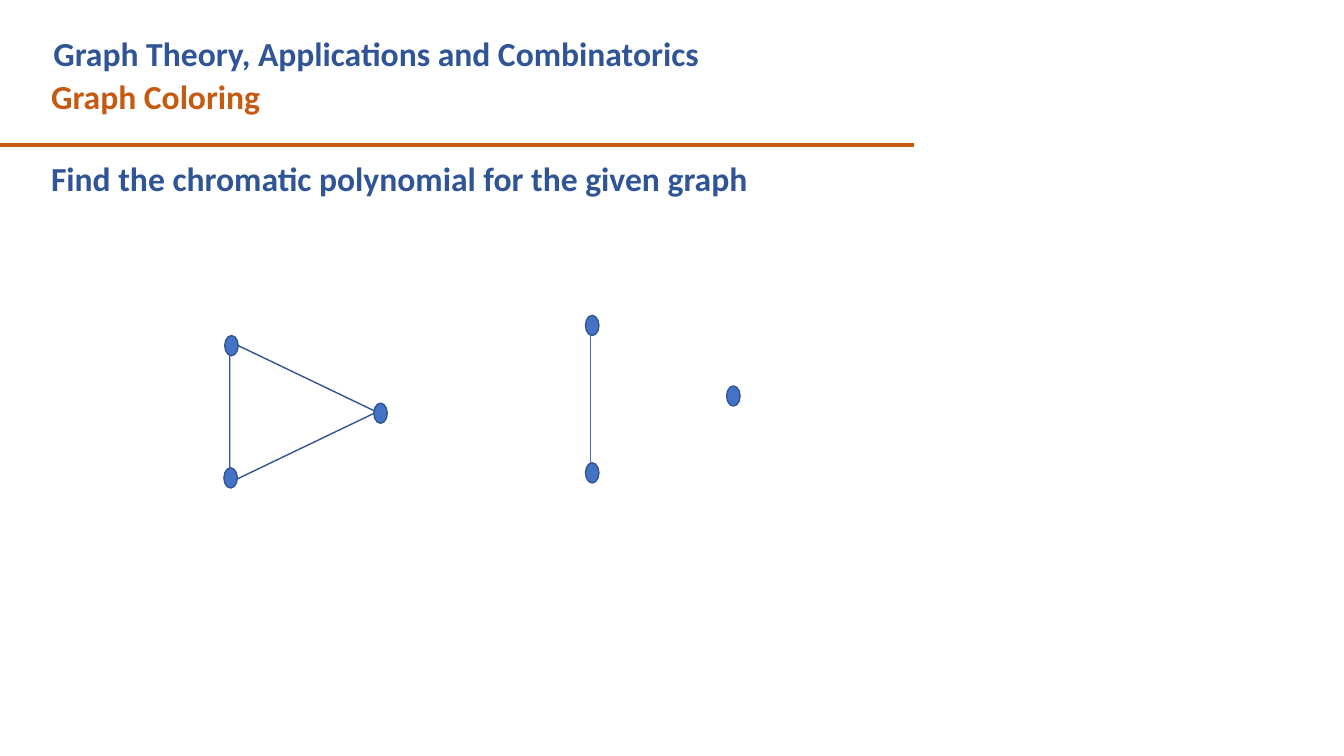
from dataclasses import dataclass

from lxml.etree import SubElement
from pptx import Presentation
from pptx.dml.color import RGBColor
from pptx.enum.shapes import MSO_CONNECTOR, MSO_SHAPE
from pptx.enum.text import MSO_ANCHOR, MSO_AUTO_SIZE, PP_ALIGN
from pptx.oxml.ns import qn
from pptx.util import Inches, Pt


@dataclass(frozen=True)
class Theme:
    font: str = "Calibri"
    size: float = 24
    heading: str = "2F5597"
    accent: str = "C55A11"
    node: str = "4472C4"
    outline: str = "325491"


def write(box, text, *, font, size, color, bold=True, align=PP_ALIGN.LEFT):
    frame = box.text_frame
    frame.word_wrap = True
    frame.auto_size = MSO_AUTO_SIZE.SHAPE_TO_FIT_TEXT
    frame.vertical_anchor = MSO_ANCHOR.TOP
    para = frame.paragraphs[0]
    para.alignment = align
    span = para.add_run()
    span.text = text
    span.font.name = font
    span.font.size = Pt(size)
    span.font.bold = bold
    span.font.color.rgb = RGBColor.from_string(color)


class Page:
    COLUMNS, ROWS = 32, 18

    def __init__(self, deck, theme):
        self.theme = theme
        self.slide = deck.slides.add_slide(deck.slide_layouts[5])
        self.column = deck.slide_width / self.COLUMNS
        self.row = deck.slide_height / self.ROWS

    def place(self, left, top, width, height):
        return (round(left * self.column), round(top * self.row),
                round(width * self.column), round(height * self.row))

    def style(self, text_color, align):
        return dict(font=self.theme.font, size=self.theme.size,
                    color=text_color, align=align)

    def title(self, text, *area, color, align=PP_ALIGN.LEFT):
        box = self.slide.shapes.title
        box.left, box.top, box.width, box.height = self.place(*area)
        write(box, text, **self.style(color, align))

    def text(self, text, *area, color, align=PP_ALIGN.LEFT):
        box = self.slide.shapes.add_textbox(*self.place(*area))
        write(box, text, **self.style(color, align))

    def line(self, left, top, right, bottom, color, weight):
        line = self.slide.shapes.add_connector(
            MSO_CONNECTOR.STRAIGHT, *self.place(left, top, right, bottom))
        line.line.color.rgb = RGBColor.from_string(color)
        line.line.width = Pt(weight)
        SubElement(line.element.spPr, qn("a:effectLst"))

    def shape(self, kind, *area, fill=None, rotation=0):
        shape = self.slide.shapes.add_shape(kind, *self.place(*area))
        shape.shadow.inherit = False
        shape.rotation = rotation
        if fill:
            shape.fill.solid()
            shape.fill.fore_color.rgb = RGBColor.from_string(fill)
        else:
            shape.fill.background()
        shape.line.color.rgb = RGBColor.from_string(self.theme.outline)
        shape.line.width = Pt(1)

    def node(self, left, top):
        self.shape(MSO_SHAPE.OVAL, left, top, 0.32, 0.48, fill=self.theme.node)


def main():
    deck = Presentation()
    deck.slide_width, deck.slide_height = Inches(13.33), Inches(7.5)
    theme = Theme()
    page = Page(deck, theme)

    page.text("Graph Coloring", 0.98, 1.7, 21, 1.2, color=theme.accent)
    page.line(0, 3.46, 21.77, 3.46, theme.accent, 3)
    page.title("Graph Theory, Applications and Combinatorics",
               1.03, 0.67, 19.68, 1.2, color=theme.heading)
    page.text("Find the chromatic polynomial for the given graph",
              0.98, 3.65, 26.6, 1.2, color=theme.heading,
              align=PP_ALIGN.JUSTIFY)

    page.shape(MSO_SHAPE.ISOSCELES_TRIANGLE, 5.54, 8.06, 3.36, 3.5, rotation=90)
    page.line(14.06, 7.73, 14.06, 11.5, theme.node, 0.5)

    triangle_nodes = [(8.9, 9.6), (5.33, 11.14), (5.35, 7.99)]
    edge_nodes = [(13.94, 11.02), (13.94, 7.51)]
    isolated_node = (17.3, 9.19)
    for left, top in [isolated_node, *edge_nodes, *triangle_nodes]:
        page.node(left, top)

    deck.save("out.pptx")


if __name__ == "__main__":
    main()
